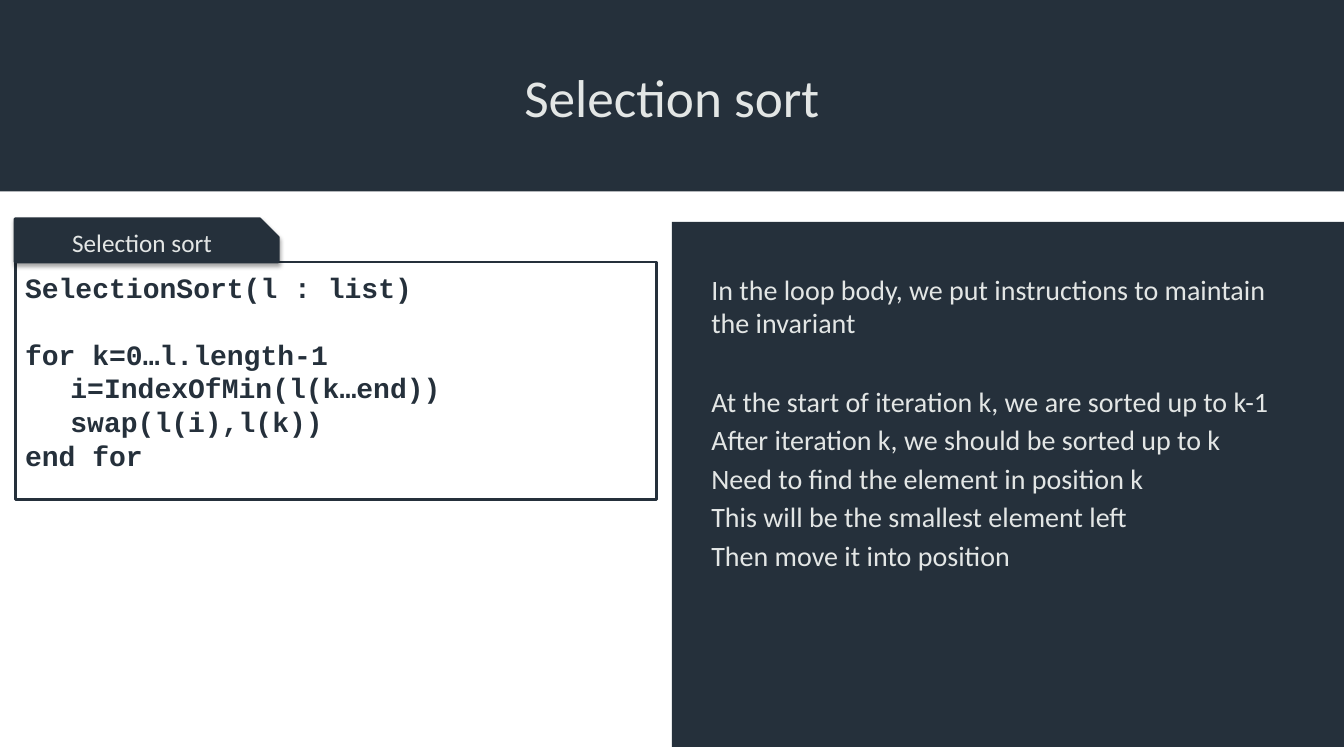
from lxml import etree
from pptx import Presentation
from pptx import util as u
from pptx.dml.color import RGBColor
from pptx.enum import shapes, text
from pptx.oxml.ns import qn

W, H = 13.33, 7.5
DARK, PALE = "25303B", "E3E6E5"
HEADING = "Selection sort"
POINTS = [
    ("In the loop body, we put instructions to maintain the invariant", 0),
    ("At the start of iteration k, we are sorted up to k-1", 32),
    ("After iteration k, we should be sorted up to k", 3.5),
    ("Need to find the element in position k", 3.5),
    ("This will be the smallest element left", 3.5),
    ("Then move it into position", 3.5),
]
CODE = [
    ("SelectionSort(l : list)", 0, 0),
    ("for k=0…l.length-1", 24, 0),
    ("i=IndexOfMin(l(k…end))", 0, 0.45),
    ("swap(l(i),l(k))", 0, 0.45),
    ("end for", 0, 0),
]


def rgb(value):
    """Turn a hex string into a colour."""
    return RGBColor.from_string(value)


def add_panel(s, box, fill=None, line=None, kind=shapes.MSO_SHAPE.RECTANGLE):
    """Add a flat shape in a box of inches."""
    sp = s.shapes.add_shape(kind, *(u.Inches(v) for v in box))
    sp.shadow.inherit = False
    if fill:
        sp.fill.solid()
        sp.fill.fore_color.rgb = rgb(fill)
    else:
        sp.fill.background()
    if line:
        sp.line.color.rgb = rgb(line)
        sp.line.width = u.Pt(2)
    else:
        sp.line.fill.background()
    return sp


def set_frame(sp, insets, anchor):
    """Set insets (left, top, right, bottom), anchor and wrapping."""
    tf = sp.text_frame
    tf.word_wrap = True
    tf.vertical_anchor = anchor
    tf.margin_left, tf.margin_top, tf.margin_right, tf.margin_bottom = map(u.Inches, insets)
    return tf


def write(p, words, size, color, font="Calibri", bold=False, align=text.PP_ALIGN.LEFT):
    """Add one run to a paragraph."""
    p.alignment = align
    r = p.add_run()
    r.text = words
    r.font.size, r.font.name, r.font.bold = u.Pt(size), font, bold
    r.font.color.rgb = rgb(color)


def next_paragraph(tf, index):
    """Return the first paragraph or a new one."""
    return tf.add_paragraph() if index else tf.paragraphs[0]


def add_drop_shadow(sp):
    """Give a shape a soft shadow straight below it."""
    effects = sp._element.spPr.find(qn("a:effectLst"))
    shadow = etree.SubElement(effects, qn("a:outerShdw"), blurRad=str(u.Pt(3.1)),
                              dist=str(u.Pt(1.8)), dir="5400000", rotWithShape="0")
    color = etree.SubElement(shadow, qn("a:srgbClr"), val="000000")
    etree.SubElement(color, qn("a:alpha"), val="35000")


def title_band(s, box):
    """Draw the title band."""
    tf = set_frame(add_panel(s, box, DARK), (0.09, 0.04, 0.09, 0.04), text.MSO_ANCHOR.MIDDLE)
    write(tf.paragraphs[0], HEADING, 38, PALE, align=text.PP_ALIGN.CENTER)


def notes_panel(s, box):
    """Draw the explanation panel."""
    tf = set_frame(add_panel(s, box, DARK), (0.39, 0.5, 0.39, 0.04), text.MSO_ANCHOR.TOP)
    for i, (words, before) in enumerate(POINTS):
        p = next_paragraph(tf, i)
        p.space_before = u.Pt(before)
        write(p, words, 20, PALE)


def code_block(s, box):
    """Draw the code frame with its tab on top."""
    x, y, w, h = box
    tab_h = 0.43
    frame = add_panel(s, (x, y + tab_h, w, h - tab_h), line=DARK)
    tf = set_frame(frame, (0.1, 0.08, 0.1, 0.05), text.MSO_ANCHOR.TOP)
    for i, (words, before, indent) in enumerate(CODE):
        p = next_paragraph(tf, i)
        p.space_before, p.line_spacing = u.Pt(before), u.Pt(24)
        p._p.get_or_add_pPr().set("marL", str(u.Inches(indent)))
        write(p, words, 20, DARK, "Courier New", True)
    tab = add_panel(s, (x, y, w * 0.41, tab_h), DARK, DARK, shapes.MSO_SHAPE.SNIP_1_RECTANGLE)
    tab.adjustments[0] = 0.43
    add_drop_shadow(tab)
    tf = set_frame(tab, (0.1, 0, 0.1, 0.05), text.MSO_ANCHOR.MIDDLE)
    write(tf.paragraphs[0], HEADING, 18, PALE, align=text.PP_ALIGN.CENTER)


def main():
    """Build and save the slide."""
    prs = Presentation()
    prs.slide_width, prs.slide_height = u.Inches(W), u.Inches(H)
    s = prs.slides.add_slide(prs.slide_layouts[6])
    title_band(s, (0, 0, W, 1.9))
    notes_panel(s, (W / 2, 2.2, W / 2, 5.21))
    code_block(s, (0.15, 2.17, W / 2 - 0.3, 2.79))
    prs.save("out.pptx")


if __name__ == "__main__":
    main()
